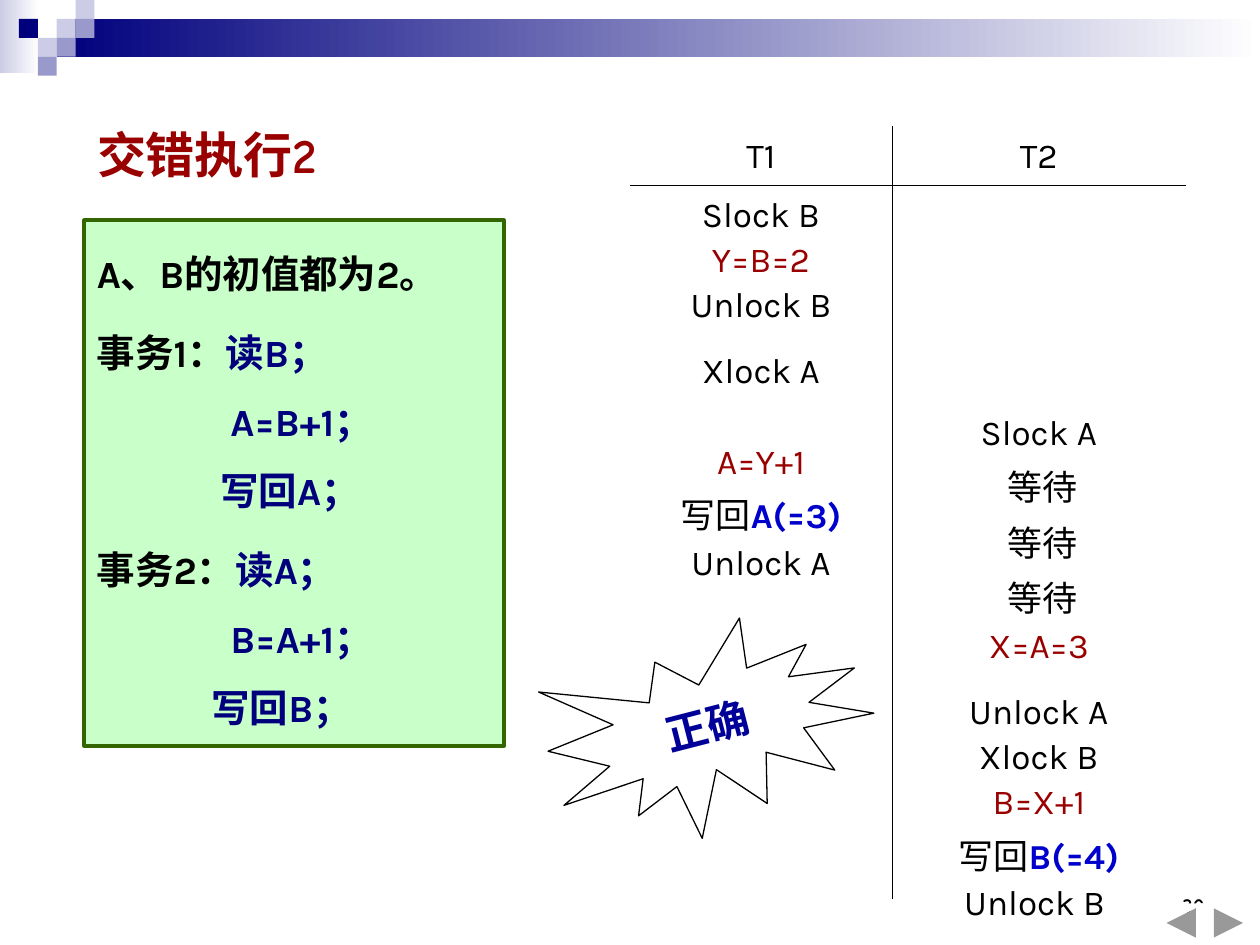
from lxml.etree import SubElement
from pptx import Presentation
from pptx.dml.color import RGBColor
from pptx.enum.shapes import MSO_SHAPE as Preset
from pptx.enum.text import MSO_ANCHOR as Anchor, MSO_AUTO_SIZE as AutoSize, PP_ALIGN as Align
from pptx.oxml import parse_xml
from pptx.oxml.ns import nsdecls, qn
from pptx.util import Inches, Pt

COLORS = {
    "black": "000000", "white": "FFFFFF", "navy": "00007D", "lilac": "CCCCE6",
    "violet": "9999CC", "red": "990000", "blue": "0000CC", "verdict": "000099",
    "mint": "C9FFC9", "forest": "336600",
}
CJK_FONT = "Noto Sans CJK SC"


def rgb(name):
    return RGBColor.from_string(COLORS[name])


def write_line(frame, *runs, first=False, font="Karla", size=20, bold=False,
               align=Align.LEFT, spacing=1.0, before=0, indent=0):
    line = frame.paragraphs[0] if first else frame.add_paragraph()
    line.alignment = align
    line.line_spacing = spacing
    line.space_before = Pt(before)
    properties = line._p.get_or_add_pPr()
    properties.set("marL", str(Inches(indent)))
    properties.set("indent", "0")
    for words, color, *emphasis in runs:
        run = line.add_run()
        run.text = words
        run.font.name = font
        run.font.size = Pt(size)
        run.font.bold = bold or bool(emphasis)
        run.font.color.rgb = rgb(color)
        SubElement(run._r.get_or_add_rPr(), qn("a:ea"), typeface=CJK_FONT)


def add_block(slide, preset, left, top, width, height, fill, line=None, line_width=0.75):
    block = slide.shapes.add_shape(
        preset, Inches(left), Inches(top), Inches(width), Inches(height))
    block.shadow.inherit = False
    if isinstance(fill, tuple):
        block.fill.gradient()
        block.fill.gradient_angle = 0
        for stop, color, position in zip(block.fill.gradient_stops, fill, (0, 1)):
            stop.color.rgb = rgb(color)
            stop.position = position
    else:
        block.fill.solid()
        block.fill.fore_color.rgb = rgb(fill)
    if line:
        block.line.color.rgb = rgb(line)
        block.line.width = Pt(line_width)
    else:
        block.line.fill.background()
    return block


def add_banner(slide):
    add_block(slide, Preset.RECTANGLE, 0, 0, 0.31, 0.58, ("lilac", "white"))
    add_block(slide, Preset.RECTANGLE, 0.45, 0.15, 9.55, 0.3, ("navy", "white"))
    side = 0.15
    tiles = [(3, 1, "lilac"), (4, 0, "lilac"), (4, 1, "violet"), (2, 2, "lilac"),
             (1, 1, "navy"), (3, 2, "violet"), (2, 3, "violet")]
    for column, row, color in tiles:
        add_block(slide, Preset.RECTANGLE, column * side, row * side, side, side, color)


def add_page_number(slide):
    number = slide.shapes.add_textbox(Inches(8.83), Inches(6.83), Inches(0.83), Inches(0.5))
    number.text_frame.word_wrap = True
    number.text_frame.vertical_anchor = Anchor.BOTTOM
    write_line(number.text_frame, ("30", "black"), first=True, font="Comic Neue",
               size=12, bold=True, align=Align.RIGHT)


def set_borders(cell, ruled):
    cell.fill.background()
    properties = cell._tc.get_or_add_tcPr()
    for position, side in enumerate("LRTB"):
        paint = (f'<a:solidFill><a:srgbClr val="{COLORS["black"]}"/></a:solidFill>'
                 if side in ruled else "<a:noFill/>")
        border = f'<a:ln{side} {nsdecls("a")} w="{Pt(0.45)}">{paint}</a:ln{side}>'
        properties.insert(position, parse_xml(border))


def fill_cell(cell, steps, ruled):
    set_borders(cell, ruled)
    for number, (runs, before) in enumerate(steps):
        write_line(cell.text_frame, *runs, first=number == 0, align=Align.CENTER,
                   spacing=1.1, before=before)


def step(words, color="black", before=0):
    return [(words, color)], before


def write_back(result):
    return [("写回", "black"), (result, "blue", "bold")], 0


def add_schedule(slide):
    schedule = slide.shapes.add_table(
        2, 2, Inches(5), Inches(1), Inches(4.41), Inches(5.87)).table
    schedule.first_row = schedule.horz_banding = False
    for column, width in zip(schedule.columns, (2.08, 2.33)):
        column.width = Inches(width)
    for row, height in zip(schedule.rows, (0.47, 5.4)):
        row.height = Inches(height)
    first_steps = [
        step("Slock B"), step("Y=B=2", "red"), step("Unlock B"),
        step("Xlock A", before=12), step("A=Y+1", "red", before=26),
        write_back("A(=3)"), step("Unlock A"),
    ]
    second_steps = [
        step("Slock A"), *[step(" 等待")] * 3, step("X=A=3", "red"),
        step("Unlock A", before=12), step("Xlock B"), step("B=X+1", "red"),
        write_back("B(=4)"), step("Unlock B "),
    ]
    fill_cell(schedule.cell(0, 0), [step("T1")], "RB")
    fill_cell(schedule.cell(0, 1), [step("T2")], "LB")
    fill_cell(schedule.cell(1, 0), first_steps, "RT")
    fill_cell(schedule.cell(1, 1), second_steps, "LT")
    schedule.cell(1, 1).margin_top = Inches(1.78)


def add_heading(slide):
    heading = slide.shapes.title
    heading.left, heading.top = Inches(0.67), Inches(0.75)
    heading.width, heading.height = Inches(3.58), Inches(1.17)
    heading.text_frame.auto_size = AutoSize.NONE
    heading.text_frame.vertical_anchor = Anchor.TOP
    write_line(heading.text_frame, ("交错执行2", "red"), first=True, font="Comic Neue",
               size=28, bold=True, spacing=1.4, before=7)


def add_transactions(slide):
    panel = add_block(slide, Preset.RECTANGLE, 0.67, 1.75, 3.33, 4.17, "mint", "forest", 2.25)
    panel.text_frame.word_wrap = True
    panel.text_frame.vertical_anchor = Anchor.TOP
    lines = [
        ([("A、B的初值都为2。", "black")], 0),
        ([("事务1：", "black"), ("读B；", "navy")], 0),
        ([("A=B+1；", "navy")], 1.06),
        ([("写回A；", "navy")], 0.98),
        ([("事务2：", "black"), ("读A；", "navy")], 0),
        ([("B=A+1；", "navy")], 1.06),
        ([("写回B；", "navy")], 0.91),
    ]
    for number, (runs, indent) in enumerate(lines):
        write_line(panel.text_frame, *runs, first=number == 0, size=22, bold=True,
                   spacing=1.5, before=0 if indent else 5.5, indent=indent)


def add_verdict(slide):
    burst = add_block(slide, Preset.EXPLOSION1, 4.35, 4.99, 2.58, 1.62, "white", "black")
    burst.rotation = 345.6
    burst.text_frame.margin_left = burst.text_frame.margin_right = 0
    burst.text_frame.vertical_anchor = Anchor.MIDDLE
    write_line(burst.text_frame, ("正确", "verdict"), first=True, font=CJK_FONT,
               size=24, bold=True, align=Align.CENTER)


def add_navigation(slide):
    add_block(slide, Preset.ACTION_BUTTON_FORWARD_OR_NEXT, 9.5, 7.17, 0.5, 0.31, "white")
    add_block(slide, Preset.ACTION_BUTTON_BACK_OR_PREVIOUS, 9.18, 7.17, 0.39, 0.31, "white")


def main():
    deck = Presentation()
    deck.slide_width, deck.slide_height = Inches(10), Inches(7.5)
    slide = deck.slides.add_slide(deck.slide_layouts[5])
    add_banner(slide)
    add_page_number(slide)
    add_schedule(slide)
    add_heading(slide)
    add_transactions(slide)
    add_verdict(slide)
    add_navigation(slide)
    deck.save("out.pptx")


if __name__ == "__main__":
    main()
